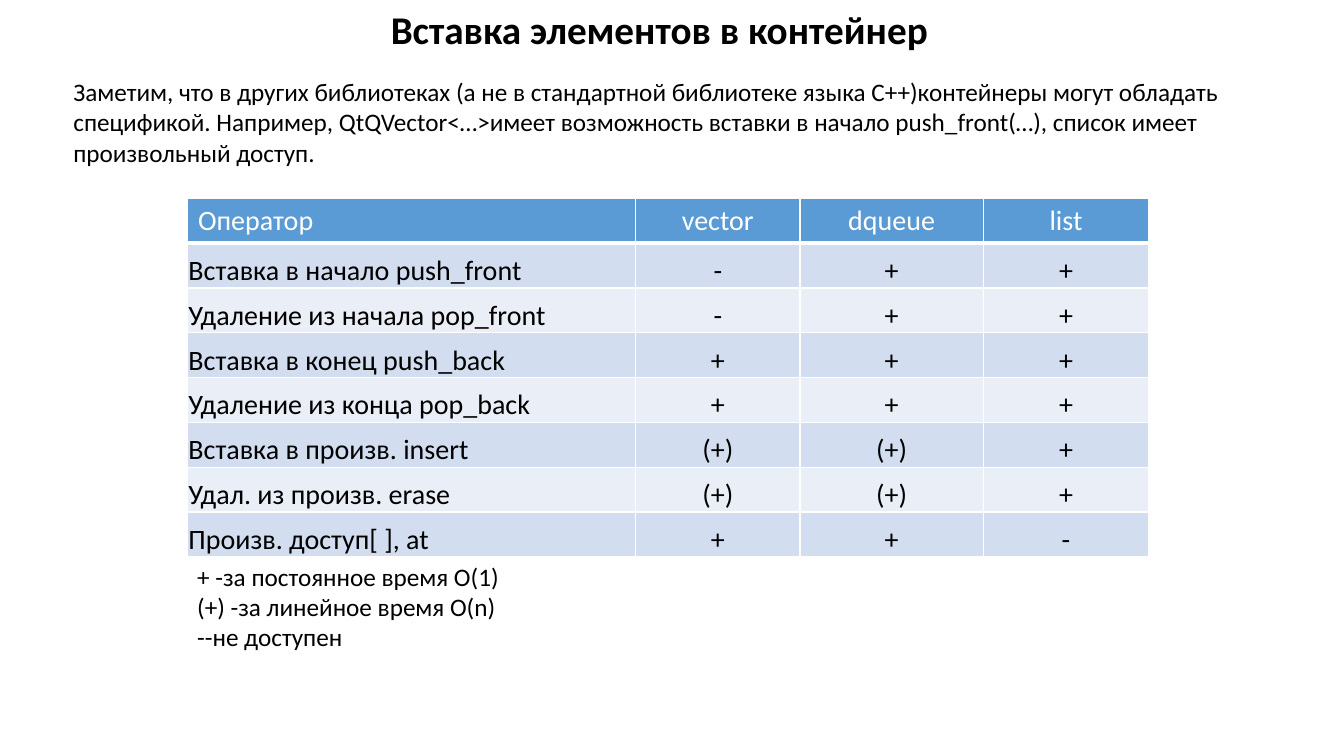
from dataclasses import dataclass

from lxml import etree
from pptx import Presentation
from pptx import util as u
from pptx.dml.color import RGBColor
from pptx.enum import text
from pptx.oxml import ns

FONT = "Calibri"
BLACK = RGBColor(0x00, 0x00, 0x00)
WHITE = RGBColor(0xFF, 0xFF, 0xFF)
HEADER_BLUE = RGBColor(0x5B, 0x9B, 0xD5)
BANDS = (RGBColor(0xD2, 0xDE, 0xEF), RGBColor(0xEA, 0xEF, 0xF7))


@dataclass
class TextBlock:
    left: float
    top: float
    width: float
    height: float
    lines: list[str]
    size: int = 18
    bold: bool = False
    wrap: bool = True


@dataclass
class CellStyle:
    fill: RGBColor
    color: RGBColor
    anchor: text.MSO_ANCHOR
    margins: tuple[float, float, float, float]  # left, top, right, bottom
    top_line: float = 1
    bottom_line: float = 1


INTRO = TextBlock(1.6, 1.8, 30.99, 2.57, [
    "Заметим, что в других библиотеках (а не в стандартной библиотеке языка C++)"
    "контейнеры могут обладать спецификой. Например, QtQVector<…>имеет возможность "
    "вставки в начало push_front(…), список имеет произвольный доступ."])
LEGEND = TextBlock(4.72, 14.02, 12.7, 2.57, [
    "+ -за постоянное время O(1)",
    "(+) -за линейное время O(n)",
    "--не доступен"])
TITLE = TextBlock(9.6, 0, 14.66, 1.45, ["Вставка элементов в контейнер"],
                  size=28, bold=True, wrap=False)

COLUMN_WIDTHS = (11.3, 4.14, 4.62, 4.17)
ROW_HEIGHT = 1.13
OPERATIONS = [
    ("Оператор", "vector", "dqueue", "list"),
    ("Вставка в начало push_front", "-", "+", "+"),
    ("Удаление из начала pop_front", "-", "+", "+"),
    ("Вставка в конец push_back", "+", "+", "+"),
    ("Удаление из конца pop_back", "+", "+", "+"),
    ("Вставка в произв. insert", "(+)", "(+)", "+"),
    ("Удал. из произв. erase", "(+)", "(+)", "+"),
    ("Произв. доступ[ ], at", "+", "+", "-"),
]


def format_paragraph(para, size: int, color: RGBColor, bold: bool = False) -> None:
    for span in para.runs:
        span.font.name = FONT
        span.font.size = u.Pt(size)
        span.font.bold = bold
        span.font.color.rgb = color


def add_text(page, block: TextBlock) -> None:
    box = page.shapes.add_textbox(u.Cm(block.left), u.Cm(block.top),
                                  u.Cm(block.width), u.Cm(block.height))
    frame = box.text_frame
    frame.word_wrap = block.wrap
    frame.auto_size = text.MSO_AUTO_SIZE.SHAPE_TO_FIT_TEXT
    frame.text = "\n".join(block.lines)
    for para in frame.paragraphs:
        format_paragraph(para, block.size, BLACK, block.bold)


def add_borders(cell, style: CellStyle) -> None:
    properties = cell._tc.get_or_add_tcPr()
    widths = {"L": 1, "R": 1, "T": style.top_line, "B": style.bottom_line}
    for side, width in widths.items():
        line = etree.SubElement(properties, ns.qn(f"a:ln{side}"), w=str(u.Pt(width)))
        fill = etree.SubElement(line, ns.qn("a:solidFill"))
        etree.SubElement(fill, ns.qn("a:srgbClr"), val=str(WHITE))


def style_for_row(row: int) -> CellStyle:
    if row == 0:
        return CellStyle(HEADER_BLUE, WHITE, text.MSO_ANCHOR.TOP,
                         (0.27, 0.13, 0.27, 0.13), bottom_line=3)
    return CellStyle(BANDS[(row - 1) % 2], BLACK, text.MSO_ANCHOR.BOTTOM,
                     (0.03, 0.03, 0.03, 0), top_line=3 if row == 1 else 1)


def fill_cell(cell, label: str, style: CellStyle, centered: bool) -> None:
    # Borders precede the fill in the cell properties
    add_borders(cell, style)
    cell.fill.solid()
    cell.fill.fore_color.rgb = style.fill
    cell.vertical_anchor = style.anchor
    (cell.margin_left, cell.margin_top,
     cell.margin_right, cell.margin_bottom) = map(u.Cm, style.margins)
    cell.text_frame.text = label
    para = cell.text_frame.paragraphs[0]
    para.alignment = text.PP_ALIGN.CENTER if centered else text.PP_ALIGN.LEFT
    format_paragraph(para, 20, style.color)


def add_operations_table(page) -> None:
    table = page.shapes.add_table(
        len(OPERATIONS), len(COLUMN_WIDTHS), u.Cm(4.72), u.Cm(5),
        u.Cm(sum(COLUMN_WIDTHS)), u.Cm(ROW_HEIGHT * len(OPERATIONS))).table
    for column, width in zip(table.columns, COLUMN_WIDTHS):
        column.width = u.Cm(width)
    for row, labels in enumerate(OPERATIONS):
        table.rows[row].height = u.Cm(ROW_HEIGHT)
        for column, label in enumerate(labels):
            fill_cell(table.cell(row, column), label, style_for_row(row), column > 0)


def main() -> None:
    deck = Presentation()
    deck.slide_width, deck.slide_height = u.Cm(33.87), u.Cm(19.05)
    page = deck.slides.add_slide(deck.slide_layouts[6])

    # Introduction, comparison table, legend and title
    add_text(page, INTRO)
    add_operations_table(page)
    add_text(page, LEGEND)
    add_text(page, TITLE)

    deck.save("out.pptx")


if __name__ == "__main__":
    main()
